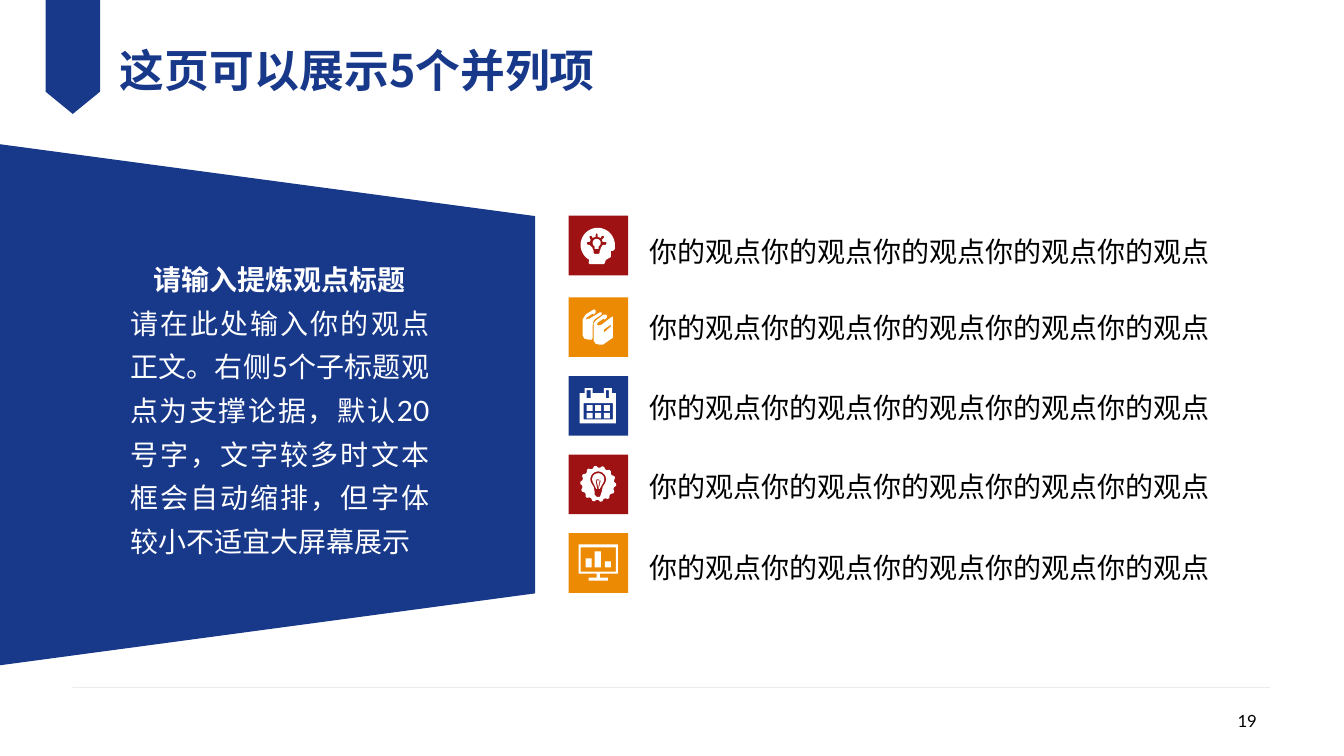
from dataclasses import dataclass
from itertools import product
from math import cos, pi, sin

from lxml.etree import SubElement
from pptx import Presentation
from pptx.dml.color import RGBColor
from pptx.enum.shapes import MSO_CONNECTOR, MSO_SHAPE
from pptx.enum.text import MSO_ANCHOR, MSO_AUTO_SIZE, PP_ALIGN
from pptx.oxml.ns import qn
from pptx.util import Pt

BLUE = RGBColor(0x18, 0x38, 0x8A)
ORANGE = RGBColor(0xEC, 0x8A, 0x04)
RED = RGBColor(0x9E, 0x12, 0x13)
WHITE = RGBColor(0xFF, 0xFF, 0xFF)
BLACK = RGBColor(0, 0, 0)
GREY = RGBColor(0xBF, 0xBF, 0xBF)
LATIN_FONT, CJK_FONT = "Lato", "Noto Sans CJK SC"

Contour = list[tuple[float, float]]
TILE_LEFT, TILE_SIZE = 406.1, 42.6
TEXT_LEFT, TEXT_WIDTH = 463.7, 419.8
POINT_TEXT = "你的观点" * 5


@dataclass(frozen=True)
class Para:
    text: str
    size: float
    color: RGBColor
    align: PP_ALIGN = PP_ALIGN.LEFT
    bold: bool = False
    font: str = LATIN_FONT
    spacing: float = 1.0


@dataclass(frozen=True)
class Item:
    color: RGBColor
    tile_top: float
    text_top: float
    text_height: float
    icon: list[Contour]


def box(left: float, top: float, right: float, bottom: float) -> Contour:
    return [(left, top), (right, top), (right, bottom), (left, bottom)]


def arc(cx: float, cy: float, radius: float, start: float, end: float) -> Contour:
    """Points on a circle, clockwise from start to end in degrees."""
    angles = [(start + (end - start) * i / 32) * pi / 180 for i in range(33)]
    return [(cx + radius * cos(a), cy + radius * sin(a)) for a in angles]


def badge(cx: float, cy: float, outer: float, inner: float, teeth: int) -> Contour:
    radii = [outer if i % 4 < 2 else inner for i in range(4 * teeth)]
    return [(cx + r * cos(i * pi / teeth / 2), cy + r * sin(i * pi / teeth / 2))
            for i, r in enumerate(radii)]


# Icon outlines are in units of 0.72 pt from the tile's top left corner.
HEAD_ICON = [
    arc(29, 29, 17, 120, 360) + [
        (46, 33), (44, 35), (42, 35), (42, 41), (37, 44),
        (36, 47), (35, 48), (21, 48), (20, 47)],
    [(37, 29), (34, 29), (32, 32), (32, 33), (31, 35), (31, 37), (30, 38),
     (26, 38), (25, 37), (25, 35), (24, 33), (24, 32), (21, 29), (19, 29),
     (18, 27), (19, 26), (21, 26), (22, 24), (21, 22), (21, 20), (23, 20),
     (24, 22), (27, 21), (27, 19), (28, 17), (29, 19), (29, 21), (32, 22),
     (33, 20), (35, 20), (35, 22), (33, 24), (34, 26), (37, 26), (38, 27)],
    arc(28, 27, 4, 120, 420) + [(30, 33), (26, 33)],
]
BOOKS_ICON = [
    [(24, 27), (24, 40), (23, 42), (20, 42), (16, 41), (14, 38), (14, 22),
     (17, 17), (25, 12), (26, 12), (27, 13), (27, 15), (25, 17), (24, 16),
     (18, 20), (17, 22), (21, 21), (31, 15), (33, 15), (33, 17), (27, 21),
     (25, 23)],
    [(44, 21), (44, 40), (34, 47), (31, 47), (27, 46), (25, 43), (25, 26),
     (27, 23), (35, 17), (37, 17), (38, 18), (38, 20), (36, 22), (35, 21),
     (29, 25), (28, 27), (30, 28), (33, 27), (42, 20), (44, 19)],
    [(42, 27), (35, 32), (35, 35), (42, 29)],
]
CALENDAR_ICON = [
    [(11, 17), (16, 17), (16, 12), (24, 12), (24, 17), (35, 17), (35, 12),
     (43, 12), (43, 17), (47, 17), (47, 47), (11, 47)],
    box(18, 14, 22, 22), box(37, 14, 40, 22), box(15, 27, 44, 43),
    *(box(x, y, x + 6, y + 5.5)
      for x, y in product((18, 26.5, 35), (29, 36.5))),
]
BULB_ICON = [
    badge(29.5, 29, 17.8, 16, 14),
    arc(29.5, 24.5, 7.8, 150, 390) + [
        (34, 32), (33, 37), (32, 40), (31, 42), (28, 42),
        (26, 40), (26, 37), (25, 32)],
    arc(29.5, 24.5, 6, 150, 390) + [
        (31, 34), (30, 34), (32, 26), (30, 24.5), (28, 24.5), (27, 26),
        (28.5, 34), (27.5, 34)],
    [(28, 25.5), (31, 25.5), (29.5, 33)],
]
SCREEN_ICON = [
    [(10, 11), (49, 11), (49, 40), (31, 40), (31, 44), (39, 44), (39, 47),
     (20, 47), (20, 44), (28, 44), (28, 40), (10, 40)],
    box(12, 14, 47, 38),
    box(17, 25, 23, 34), box(26, 18, 32, 34), box(36, 28, 42, 34),
]

ITEMS = [
    Item(RED, 154.1, 148.3, 54.7, HEAD_ICON),
    Item(ORANGE, 212.4, 203, 54.7, BOOKS_ICON),
    Item(BLUE, 268.6, 258.5, 57.6, CALENDAR_ICON),
    Item(RED, 324.7, 316.1, 54.7, BULB_ICON),
    Item(ORANGE, 380.9, 370.8, 61.9, SCREEN_ICON),
]


def set_attrs(target, values: dict) -> None:
    for name, value in values.items():
        setattr(target, name, value)


def paint(sp, color: RGBColor) -> None:
    sp.shadow.inherit = False
    sp.fill.solid()
    sp.fill.fore_color.rgb = color
    sp.line.fill.background()


def add_preset(slide, kind: MSO_SHAPE, left: float, top: float,
               width: float, height: float, color: RGBColor):
    sp = slide.shapes.add_shape(kind, Pt(left), Pt(top), Pt(width), Pt(height))
    paint(sp, color)
    return sp


def add_outline(slide, contours: list[Contour], left: float, top: float,
                unit: float, color: RGBColor) -> None:
    """Draw contours as one shape; nested contours become holes."""
    first, *rest = [[(x * 10, y * 10) for x, y in c] for c in contours]
    builder = slide.shapes.build_freeform(*first[0], scale=Pt(unit) / 10)
    builder.add_line_segments(first[1:])
    for contour in rest:
        builder.move_to(*contour[0])
        builder.add_line_segments(contour[1:])
    paint(builder.convert_to_shape(Pt(left), Pt(top)), color)


def write(sp, paras: list[Para], side: float = 0, edge: float = 0) -> None:
    tf = sp.text_frame
    set_attrs(tf, {"word_wrap": True, "auto_size": MSO_AUTO_SIZE.NONE,
                   "vertical_anchor": MSO_ANCHOR.MIDDLE,
                   "margin_left": Pt(side), "margin_right": Pt(side),
                   "margin_top": Pt(edge), "margin_bottom": Pt(edge)})
    for i, para in enumerate(paras):
        p = tf.add_paragraph() if i else tf.paragraphs[0]
        set_attrs(p, {"alignment": para.align, "line_spacing": para.spacing})
        r = p.add_run()
        r.text = para.text
        set_attrs(r.font, {"size": Pt(para.size), "bold": para.bold,
                           "name": para.font})
        r.font.color.rgb = para.color
        SubElement(r.font._element, qn("a:ea")).set("typeface", CJK_FONT)


def add_text(slide, left: float, top: float, width: float, height: float,
             paras: list[Para], side: float = 0, edge: float = 0) -> None:
    sp = slide.shapes.add_textbox(Pt(left), Pt(top), Pt(width), Pt(height))
    write(sp, paras, side, edge)


def add_footer_line(slide) -> None:
    line = slide.shapes.add_connector(
        MSO_CONNECTOR.STRAIGHT, Pt(51.8), Pt(491), Pt(907.2), Pt(491))
    line.line.width = Pt(0.25)
    line.line.color.rgb = GREY
    clr = line._element.find(".//" + qn("a:srgbClr"))
    SubElement(clr, qn("a:alpha")).set("val", "47000")
    SubElement(line._element.spPr, qn("a:effectLst"))


def main() -> None:
    prs = Presentation()
    set_attrs(prs, {"slide_width": Pt(960), "slide_height": Pt(540)})
    slide = prs.slides.add_slide(prs.slide_layouts[5])

    add_footer_line(slide)
    ribbon = [(32.6, 0), (71.5, 0), (71.5, 65.5), (52, 81.4), (32.6, 65.5)]
    add_outline(slide, [ribbon], 0, 0, 1, BLUE)
    title = slide.shapes.title
    set_attrs(title, {"left": Pt(85.7), "top": Pt(18.7),
                      "width": Pt(643), "height": Pt(61.9)})
    write(title, [Para("这页可以展示5个并列项", 32, BLUE, bold=True, font=CJK_FONT)])
    add_text(slide, 689, 500.4, 216, 28.8,
             [Para("19", 12, BLACK, PP_ALIGN.RIGHT)], 7.2, 3.6)

    panel = add_preset(slide, MSO_SHAPE.TRAPEZOID, 5, 98, 372.2, 382.3, BLUE)
    panel.rotation = 90
    panel.adjustments[0] = 0.138
    for item in ITEMS:
        add_preset(slide, MSO_SHAPE.RECTANGLE, TILE_LEFT, item.tile_top,
                   TILE_SIZE, TILE_SIZE, item.color)
        add_outline(slide, item.icon, TILE_LEFT, item.tile_top, 0.72, WHITE)
        add_text(slide, TEXT_LEFT, item.text_top, TEXT_WIDTH, item.text_height,
                 [Para(POINT_TEXT, 20, BLACK, spacing=1.3)], edge=3.6)
    add_text(slide, 92.9, 147.6, 213.8, 283.7, [
        Para("请输入提炼观点标题", 20, WHITE, PP_ALIGN.CENTER, True, spacing=1.3),
        Para("请在此处输入你的观点正文。右侧5个子标题观点为支撑论据，默认20号字，"
             "文字较多时文本框会自动缩排，但字体较小不适宜大屏幕展示",
             20, WHITE, PP_ALIGN.JUSTIFY, spacing=1.3)])
    prs.save("out.pptx")


if __name__ == "__main__":
    main()
